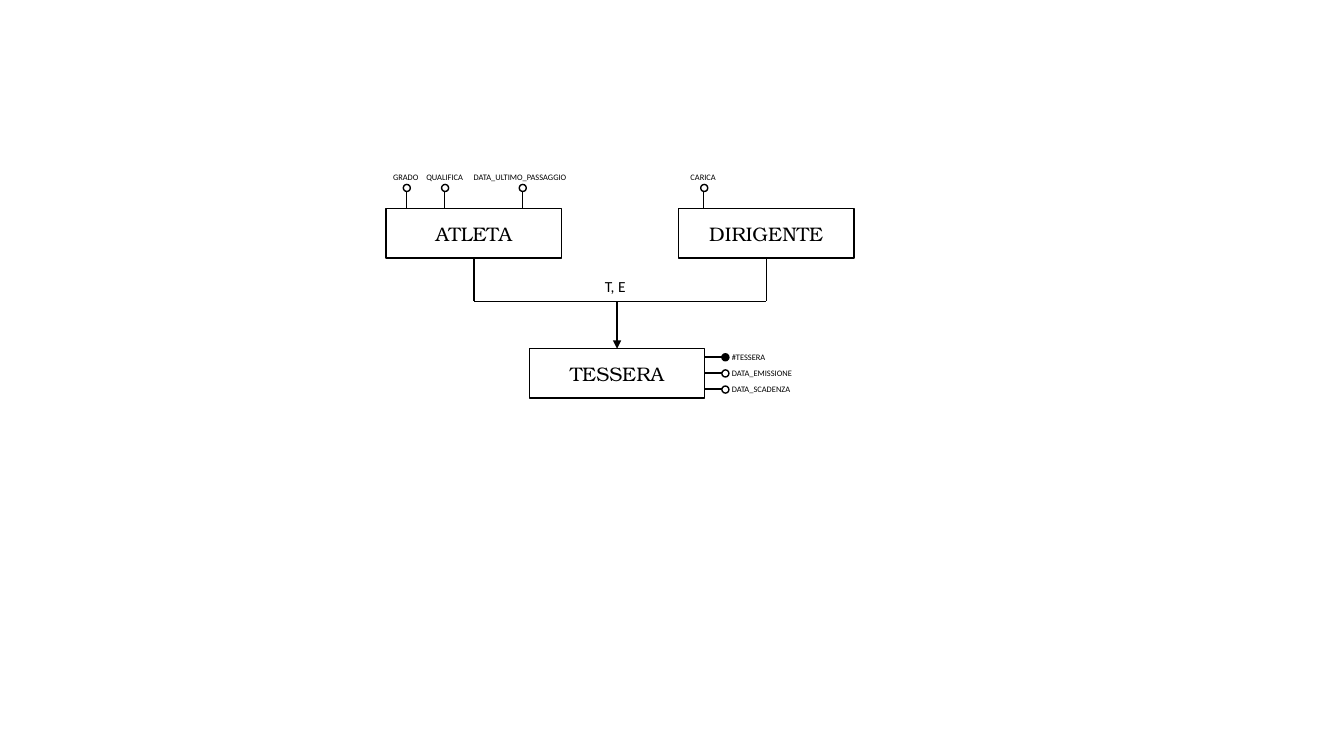
from dataclasses import dataclass

from pptx import Presentation
from pptx.dml.color import RGBColor
from pptx.enum.shapes import MSO_CONNECTOR as Link, MSO_SHAPE as Kind
from pptx.enum.text import MSO_ANCHOR as Anchor, MSO_AUTO_SIZE as Fit, PP_ALIGN as Align
from pptx.oxml.ns import qn
from pptx.shapes.autoshape import Shape
from pptx.shapes.shapetree import SlideShapes
from pptx.text.text import TextFrame
from pptx.util import Emu, Pt
from lxml.etree import SubElement

PX = 9144  # EMU per px, 100 px to the inch


@dataclass(frozen=True)
class Theme:
    ink: RGBColor = RGBColor(0, 0, 0)
    paper: RGBColor = RGBColor(255, 255, 255)
    serif: str = "TeX Gyre Bonum"
    sans: str = "Calibri"
    name: int = 14
    note: int = 11
    small: int = 6
    stroke: int = 1


THEME = Theme()
WIDE, HIGH = 174, 49
STEM, DOT = 17, 7
TAG = 20


@dataclass(frozen=True)
class Entity:
    name: str
    left: int
    top: int

    @property
    def mid(self) -> int:
        return self.left + WIDE // 2

    @property
    def right(self) -> int:
        return self.left + WIDE

    @property
    def base(self) -> int:
        return self.top + HIGH


@dataclass(frozen=True)
class Field:
    """An attribute; pos is its offset along the entity's edge."""
    name: str
    owner: Entity
    pos: int
    width: int
    key: bool = False


ATHLETE = Entity("ATLETA", 383, 207)
OFFICER = Entity("DIRIGENTE", 673, 207)
CARD = Entity("TESSERA", 525, 346)

TOP = [
    Field("GRADO", ATHLETE, 20, 46),
    Field("QUALIFICA", ATHLETE, 58, 57),
    Field("DATA_ULTIMO_PASSAGGIO", ATHLETE, 135, 116),
    Field("CARICA", OFFICER, 25, 46),
]
SIDE = [
    Field("#TESSERA", CARD, 8, 54, key=True),
    Field("DATA_EMISSIONE", CARD, 24, 82),
    Field("DATA_SCADENZA", CARD, 40, 80),
]


def px(*vals: int) -> list[Emu]:
    return [Emu(v * PX) for v in vals]


def write(frame: TextFrame, text: str, size: int, font: str) -> None:
    frame.text = text
    face = frame.paragraphs[0].runs[0].font
    face.size, face.name = Pt(size), font
    face.color.rgb = THEME.ink


def shape(tree: SlideShapes, kind: Kind, left: int, top: int,
          width: int, height: int, fill: RGBColor) -> Shape:
    item = tree.add_shape(kind, *px(left, top, width, height))
    item.shadow.inherit = False
    item.fill.solid()
    item.fill.fore_color.rgb = fill
    item.line.color.rgb = THEME.ink
    item.line.width = Pt(THEME.stroke)
    return item


def line(tree: SlideShapes, x1: int, y1: int, x2: int, y2: int,
         arrow: bool = False) -> None:
    item = tree.add_connector(Link.STRAIGHT, *px(x1, y1, x2, y2))
    item.line.color.rgb = THEME.ink
    item.line.width = Pt(THEME.stroke)
    if arrow:
        SubElement(item.line._get_or_add_ln(), qn("a:tailEnd"), type="triangle")
    SubElement(item._element.spPr, qn("a:effectLst"))


def label(tree: SlideShapes, text: str, left: int, top: int,
          width: int, height: int, size: int) -> None:
    frame = tree.add_textbox(*px(left, top, width, height)).text_frame
    frame.word_wrap = False
    frame.auto_size = Fit.SHAPE_TO_FIT_TEXT
    write(frame, text, size, THEME.sans)


def box(tree: SlideShapes, ent: Entity) -> None:
    item = shape(tree, Kind.RECTANGLE, ent.left, ent.top, WIDE, HIGH, THEME.paper)
    frame = item.text_frame
    frame.vertical_anchor = Anchor.MIDDLE
    write(frame, ent.name, THEME.name, THEME.serif)
    frame.paragraphs[0].alignment = Align.CENTER


def dot(tree: SlideShapes, left: int, top: int, key: bool) -> None:
    fill = THEME.ink if key else THEME.paper
    shape(tree, Kind.OVAL, left, top, DOT, DOT, fill)


def top_field(tree: SlideShapes, field: Field) -> None:
    x, y = field.owner.left + field.pos, field.owner.top
    end = y - STEM
    line(tree, x, y, x, end)
    dot(tree, x - DOT // 2, end - DOT, field.key)
    label(tree, field.name, x - field.width // 2, end - DOT - 17,
          field.width, TAG, THEME.small)


def side_field(tree: SlideShapes, field: Field) -> None:
    x, y = field.owner.right, field.owner.top + field.pos
    end = x + STEM
    line(tree, x, y, end, y)
    dot(tree, end, y - DOT // 2, field.key)
    label(tree, field.name, end, y - TAG // 2, field.width, TAG, THEME.small)


def join(tree: SlideShapes, kids: list[Entity], root: Entity, bus: int) -> None:
    """Ties the subtypes to a bus line and points it at the parent."""
    for kid in kids:
        line(tree, kid.mid, kid.base, kid.mid, bus)
    line(tree, kids[0].mid, bus, kids[-1].mid, bus)
    line(tree, root.mid, bus, root.mid, root.top, arrow=True)
    label(tree, "T, E", root.mid - 22, bus - 29, 43, 29, THEME.note)


def main() -> None:
    deck = Presentation()
    deck.slide_width, deck.slide_height = px(1333, 750)
    tree = deck.slides.add_slide(deck.slide_layouts.get_by_name("Blank")).shapes
    for ent in (CARD, ATHLETE, OFFICER):
        box(tree, ent)
    join(tree, [ATHLETE, OFFICER], CARD, 299)
    for field in SIDE:
        side_field(tree, field)
    for field in TOP:
        top_field(tree, field)
    deck.save("out.pptx")


if __name__ == "__main__":
    main()
